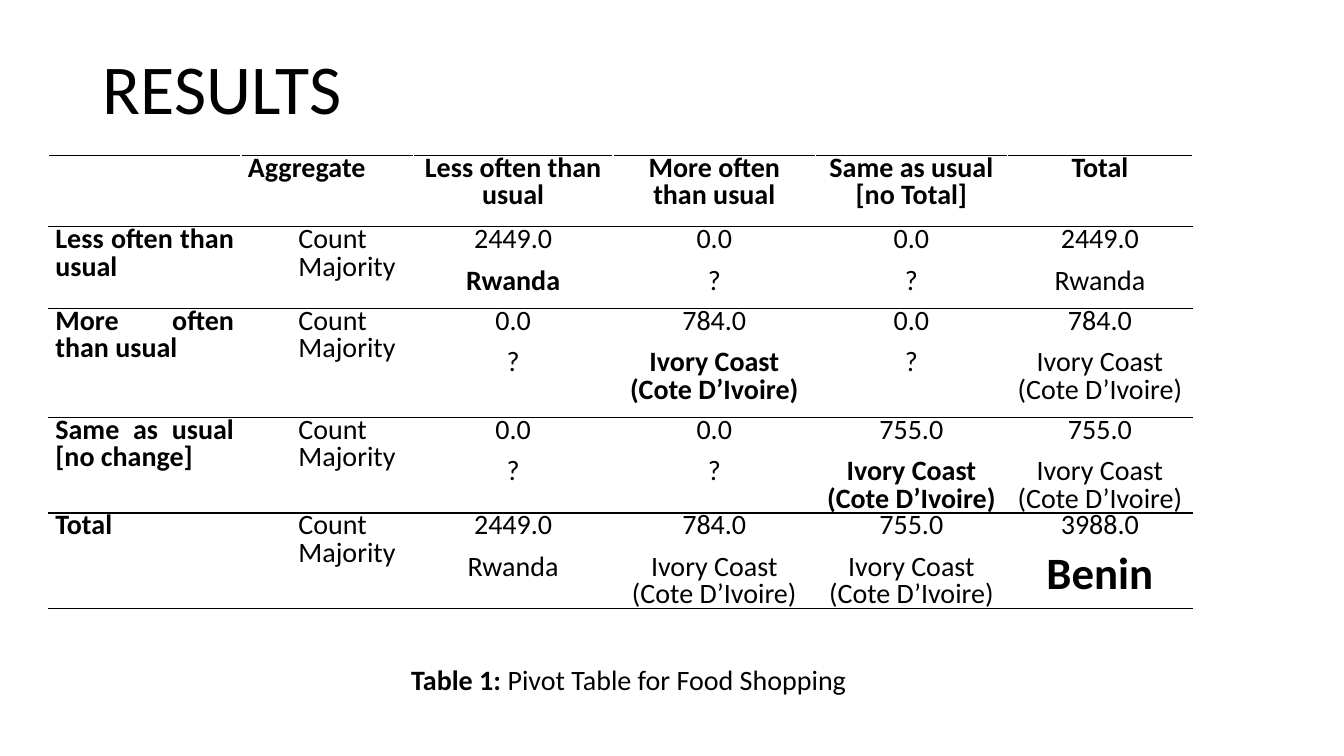
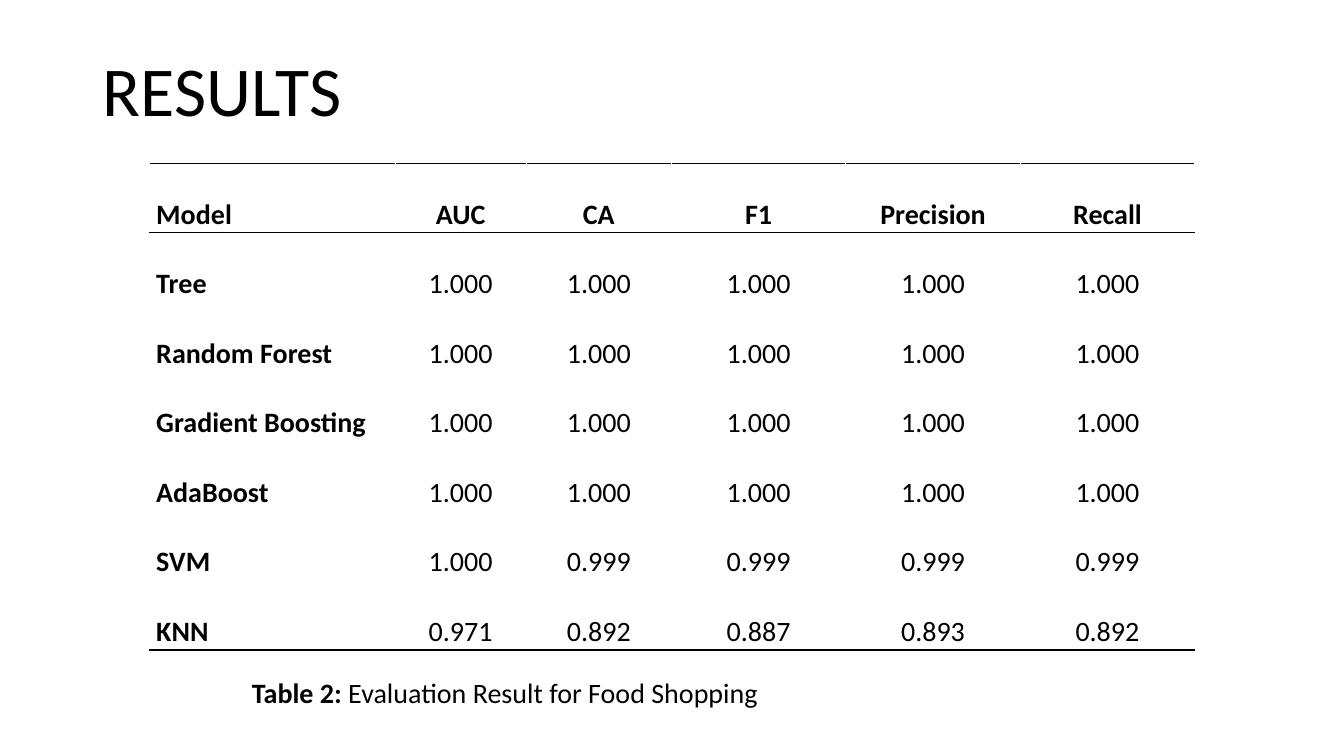
from dataclasses import dataclass

from lxml.etree import SubElement
from pptx import Presentation
from pptx.dml.color import RGBColor
from pptx.enum.text import MSO_ANCHOR, MSO_AUTO_SIZE, PP_ALIGN
from pptx.oxml.ns import qn
from pptx.util import Inches, Pt


@dataclass(frozen=True)
class Theme:
    font: str = "Calibri"
    ink: str = "000000"
    paper: str = "FFFFFF"
    title_size: int = 50
    body_size: int = 20
    highlight_size: int = 32
    rule_width: int = 1


class Deck:
    def __init__(self, theme):
        self.theme = theme
        self.prs = Presentation()
        self.prs.slide_width, self.prs.slide_height = Inches(13.33), Inches(7.5)
        self.slide = None

    def style(self, font, size=None, bold=False):
        font.name = self.theme.font
        font.size = Pt(size or self.theme.body_size)
        font.bold = bold
        font.color.rgb = RGBColor.from_string(self.theme.ink)

    # Slide with its title
    def new_slide(self, title, top):
        self.slide = self.prs.slides.add_slide(self.prs.slide_layouts[5])
        sp = self.slide.shapes.title
        sp.left, sp.top, sp.width, sp.height = map(Inches, (0.92, top, 11.5, 1.15))
        tf = sp.text_frame
        tf.text = title
        tf.vertical_anchor = MSO_ANCHOR.MIDDLE
        tf.auto_size = MSO_AUTO_SIZE.NONE
        p = tf.paragraphs[0]
        p.alignment, p.line_spacing = PP_ALIGN.LEFT, 0.9
        self.style(p.runs[0].font, self.theme.title_size)

    # Caption with a bold label
    def caption(self, label, text, left, top, width):
        sp = self.slide.shapes.add_textbox(*map(Inches, (left, top, width, 0.44)))
        tf = sp.text_frame
        tf.word_wrap = True
        tf.auto_size = MSO_AUTO_SIZE.SHAPE_TO_FIT_TEXT
        for part, bold in ((label + " ", True), (text, False)):
            r = tf.paragraphs[0].add_run()
            r.text = part
            self.style(r.font, bold=bold)

    # Cell borders: black where the row edge is ruled, otherwise white
    def borders(self, cell, top, bottom):
        tc_pr = cell._tc.get_or_add_tcPr()
        for side, ruled in (("L", False), ("R", False), ("T", top), ("B", bottom)):
            ln = SubElement(tc_pr, qn(f"a:ln{side}"), w=str(Pt(self.theme.rule_width)))
            fill = SubElement(ln, qn("a:solidFill"))
            color = self.theme.ink if ruled else self.theme.paper
            SubElement(fill, qn("a:srgbClr"), val=color)

    # Table; rules lists the row edges that carry a line
    def table(self, rows, left, top, widths, heights, rules, spacing):
        box = map(Inches, (left, top, sum(widths), sum(heights)))
        table = self.slide.shapes.add_table(len(rows), len(widths), *box).table
        table.first_row = table.horz_banding = False
        for column, width in zip(table.columns, widths):
            column.width = Inches(width)
        for row, height in zip(table.rows, heights):
            row.height = Inches(height)
        for i, row in enumerate(rows):
            for j, text in enumerate(row):
                cell = table.cell(i, j)
                cell.margin_left = cell.margin_right = Inches(0.07)
                cell.margin_top = cell.margin_bottom = 0
                self.borders(cell, i in rules, i + 1 in rules)
                cell.fill.background()
                cell.text_frame.text = text
                for p in cell.text_frame.paragraphs:
                    p.alignment = PP_ALIGN.CENTER if j else PP_ALIGN.JUSTIFY
                    p.line_spacing, p.space_after = spacing, Pt(10)
                    self.style(p.font)
                    for r in p.runs:
                        self.style(r.font, bold=i == 0 or j == 0)
        return table


def pivot_slide(deck):
    ivory = "Ivory Coast (Cote D’Ivoire)"
    none = "0.0\n?"
    less, more, same = "2449.0\nRwanda", f"784.0\n{ivory}", f"755.0\n{ivory}"
    aggregate = "Count Majority"
    rows = [
        ["", "Aggregate", "Less often than usual", "More often than usual",
         "Same as usual [no Total]", "Total"],
        ["Less often than usual", aggregate, less, none, none, less],
        ["More often than usual", aggregate, none, more, none, more],
        ["Same as usual [no change]", aggregate, none, none, same, same],
        ["Total", aggregate, less, more, same, "3988.0\nBenin"],
    ]
    deck.new_slide("RESULTS", 0.34)
    deck.caption("Table 1:", "Pivot Table for Food Shopping", 3.98, 6.52, 4.71)
    table = deck.table(rows, 0.48, 1.54, [1.91, 1.71, 1.98, 2.01, 1.9, 1.84],
                       [0.71, 0.81, 1.08, 0.95, 0.95], range(6), 0.8)

    # Aggregate column is left aligned, indented below its heading
    for i in range(len(rows)):
        p = table.cell(i, 1).text_frame.paragraphs[0]
        p.alignment = PP_ALIGN.LEFT
        if i:
            p_pr = p._p.get_or_add_pPr()
            p_pr.set("marL", str(Inches(0.5)))
            p_pr.set("indent", "0")

    # Majority on the diagonal is bold, the overall one larger too
    last = len(rows) - 1
    for i in range(1, len(rows)):
        r = table.cell(i, i + 1).text_frame.paragraphs[1].runs[0]
        size = deck.theme.highlight_size if i == last else None
        deck.style(r.font, size, bold=True)


def evaluation_slide(deck):
    perfect = ["1.000"] * 5
    rows = [
        ["Model", "AUC", "CA", "F1", "Precision", "Recall"],
        ["Tree", *perfect],
        ["Random Forest", *perfect],
        ["Gradient Boosting", *perfect],
        ["AdaBoost", *perfect],
        ["SVM", "1.000", "0.999", "0.999", "0.999", "0.999"],
        ["KNN", "0.971", "0.892", "0.887", "0.893", "0.892"],
    ]
    deck.new_slide("RESULTS", 0.36)
    deck.caption("Table 2:", "Evaluation Result for Food Shopping", 2.4, 6.65, 8.02)
    deck.table(rows, 1.48, 1.62, [2.44, 1.3, 1.44, 1.73, 1.73, 1.73],
               [0.69] * len(rows), (0, 1, len(rows)), 2.0)


def main():
    deck = Deck(Theme())
    pivot_slide(deck)
    evaluation_slide(deck)
    deck.prs.save("out.pptx")


if __name__ == "__main__":
    main()
